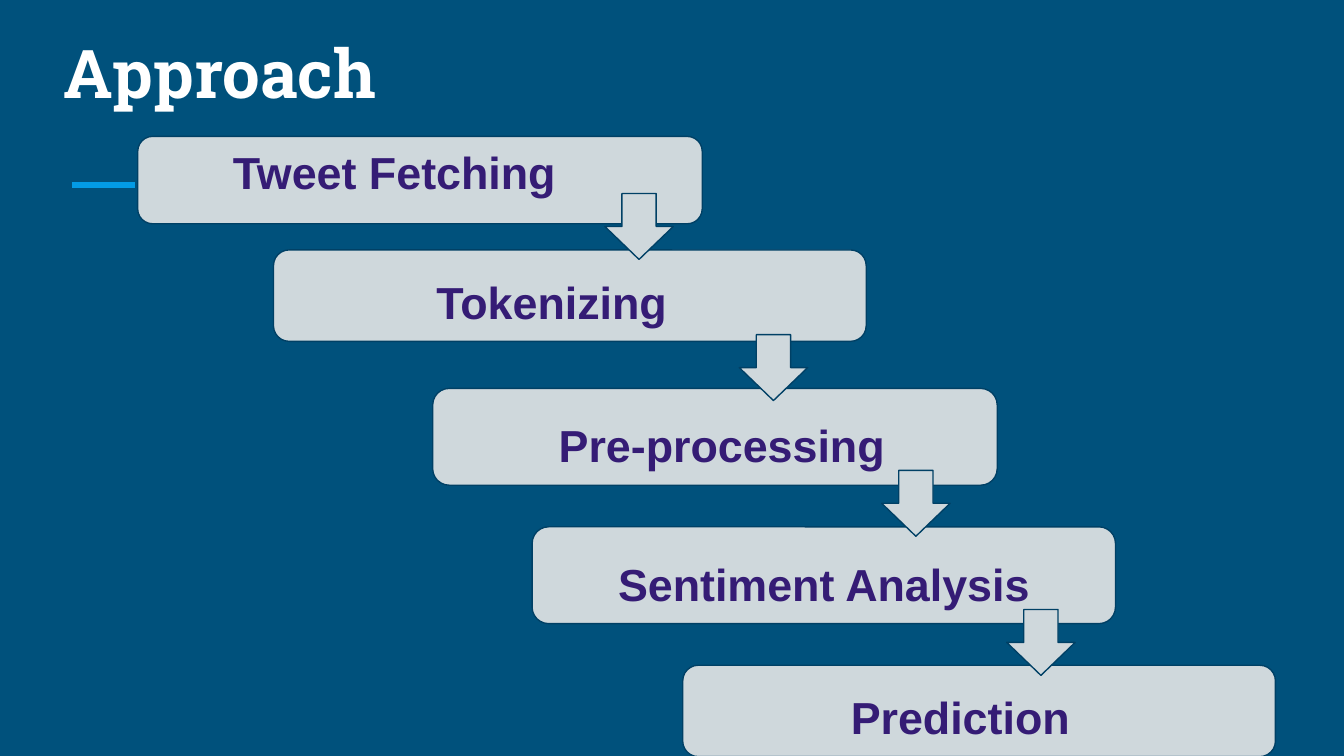
"""Build the Approach slide: five staggered steps linked by down arrows."""
from lxml import etree
from pptx import Presentation
from pptx import util as u
from pptx.dml.color import RGBColor
from pptx.enum import shapes, text
from pptx.oxml import ns

PX = 4572
NAVY = RGBColor(0x00, 0x51, 0x7C)
BLUE = RGBColor(0x03, 0x9B, 0xE5)
GREY = RGBColor(0xCF, 0xD8, 0xDC)
EDGE = RGBColor(0x00, 0x40, 0x65)
PURPLE = RGBColor(0x35, 0x1C, 0x75)
WHITE = RGBColor(0xFF, 0xFF, 0xFF)

TITLE_FONT = {"name": "Roboto Slab", "size": u.Pt(36), "bold": True}
LABEL_FONT = {"name": "Arial", "size": u.Pt(24), "bold": True}
FRAME = {"word_wrap": True, "auto_size": text.MSO_AUTO_SIZE.NONE,
         **{f"margin_{side}": 20 * PX for side in ("left", "top", "right", "bottom")}}

LEFT, CENTER = text.PP_ALIGN.LEFT, text.PP_ALIGN.CENTER
BOXES = [(205, 203, 840, 130), (407, 372, 882, 136), (644, 578, 840, 144),
         (792, 784, 868, 144), (1016, 990, 882, 136)]
ARROWS = [(900, 288), (1100, 498), (1312, 700), (1498, 907)]
LABELS = [("Tweet Fetching", (-98, 196, 1222, 136), LEFT, 425),
          ("Tokenizing", (246, 389, 1096, 120), CENTER, 54),
          ("Pre-processing", (536, 602, 1076, 120), CENTER, 0),
          ("Sentiment Analysis", (792, 809, 868, 120), CENTER, 0),
          ("Prediction", (910, 1006, 1038, 120), CENTER, 0)]


def px(*lengths):
    """Turn px lengths into EMU."""
    return [u.Emu(n * PX) for n in lengths]


def set_all(obj, values):
    """Set each named attribute on an object."""
    for name, value in values.items():
        setattr(obj, name, value)


def write(sp, words, font, color, align, anchor):
    """Put one formatted paragraph into a shape and return it."""
    tf = sp.text_frame
    set_all(tf, {**FRAME, "vertical_anchor": anchor})
    p = tf.paragraphs[0]
    p.alignment = align
    r = p.add_run()
    r.text = words
    set_all(r.font, font)
    r.font.color.rgb = color
    return p


def add_title(s, words):
    """Place and format the title placeholder."""
    sp = s.shapes.title
    set_all(sp, dict(zip(("left", "top", "width", "height"), px(74, 43, 1840, 144))))
    write(sp, words, TITLE_FONT, WHITE, LEFT, text.MSO_ANCHOR.BOTTOM)


def add_rule(s):
    """Draw the short accent line under the title."""
    c = s.shapes.add_connector(shapes.MSO_CONNECTOR.STRAIGHT, *px(107, 275, 201, 275))
    c.line.color.rgb = BLUE
    c.line.width = u.Pt(3)
    etree.SubElement(c._element.spPr, ns.qn("a:effectLst"))


def add_block(s, kind, box, adjustments):
    """Draw a grey outlined preset shape."""
    sp = s.shapes.add_shape(kind, *px(*box))
    for i, value in enumerate(adjustments):
        sp.adjustments[i] = value
    sp.shadow.inherit = False
    sp.fill.solid()
    sp.fill.fore_color.rgb = GREY
    sp.line.color.rgb = EDGE
    sp.line.width = u.Pt(0.75)


def add_label(s, words, box, align, indent):
    """Add a step name with a left indent."""
    sp = s.shapes.add_textbox(*px(*box))
    p = write(sp, words, LABEL_FONT, PURPLE, align, text.MSO_ANCHOR.TOP)
    p._p.get_or_add_pPr().set("marL", str(indent * PX))


def main():
    """Build and save the slide."""
    prs = Presentation()
    prs.slide_width, prs.slide_height = px(2000, 1125)
    s = prs.slides.add_slide(prs.slide_layouts[5])
    s.background.fill.solid()
    s.background.fill.fore_color.rgb = NAVY
    add_title(s, "Approach")
    add_rule(s)
    for box in BOXES:
        add_block(s, shapes.MSO_SHAPE.ROUNDED_RECTANGLE, box, [0.17])
    for left, top in ARROWS:
        add_block(s, shapes.MSO_SHAPE.DOWN_ARROW, (left, top, 102, 98), [0.5, 0.5])
    for label in LABELS:
        add_label(s, *label)
    prs.save("out.pptx")


if __name__ == "__main__":
    main()
